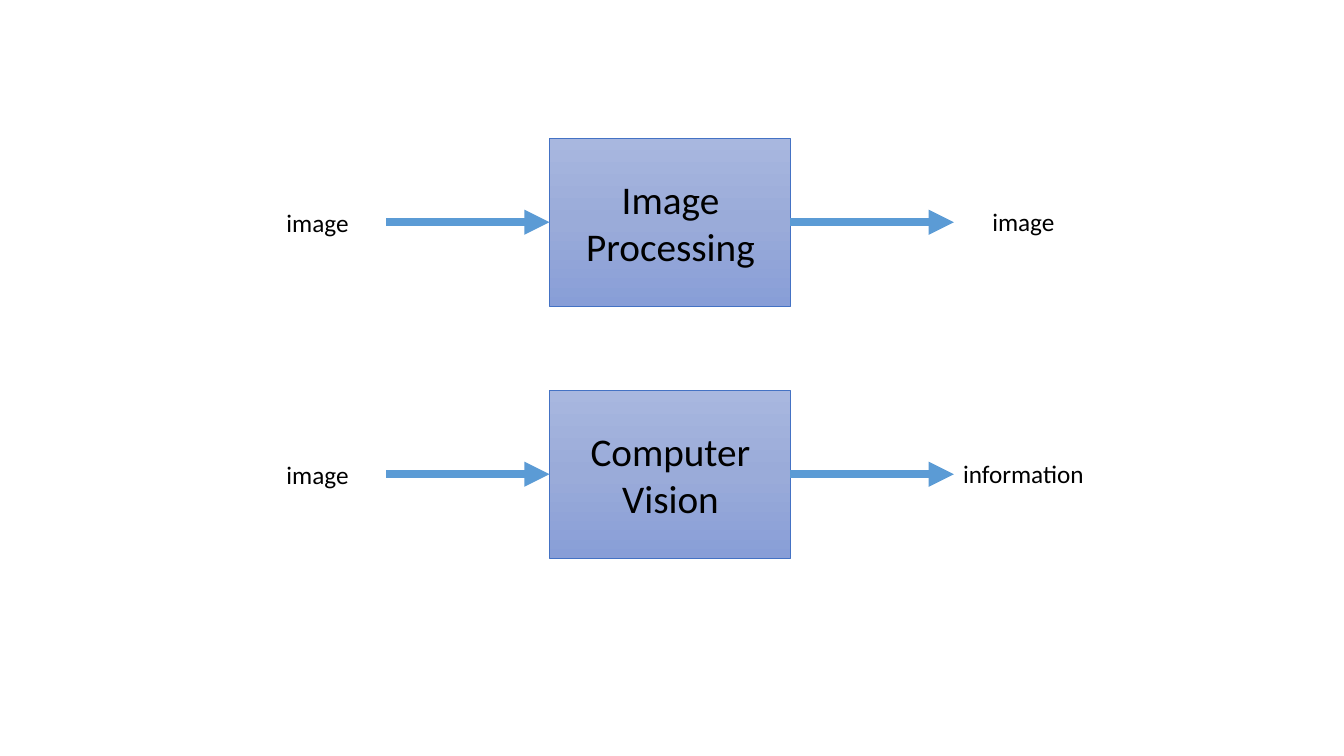
from copy import deepcopy

from lxml import etree
from pptx import Presentation
from pptx import util as u
from pptx.dml.color import RGBColor
from pptx.enum import shapes, text
from pptx.oxml.ns import qn

FONT = "Calibri"
COLORS = {
    "text": "000000",
    "edge": "4472C4",
    "arrow": "5B9BD5",
    "top": "A8B7DF",
    "middle": "9AABD9",
    "bottom": "889ED7",
}

# Layout in inches
BOX_LEFT, BOX_WIDTH, BOX_HEIGHT = 5.45, 2.39, 1.67
ARROW_LEN = 1.62
FIRST_TOP, ROW_STEP = 1.37, 2.5

# Input, lines in the box, output
ROWS = [
    ("image", ["Image", "Processing"], "image"),
    ("image", ["Computer", "Vision"], "information"),
]


def color(name):
    return RGBColor.from_string(COLORS[name])


def add_box(slide, top):
    box = slide.shapes.add_shape(
        shapes.MSO_SHAPE.RECTANGLE, u.Inches(BOX_LEFT), u.Inches(top),
        u.Inches(BOX_WIDTH), u.Inches(BOX_HEIGHT))
    box.shadow.inherit = False
    box.line.color.rgb = color("edge")
    box.line.width = u.Pt(0.5)

    # Three stops, running from top to bottom
    box.fill.gradient()
    box.fill.gradient_angle = 270
    first = box.fill.gradient_stops[0]
    first.color.rgb = color("top")
    stops = box._element.spPr.find(qn("a:gradFill")).find(qn("a:gsLst"))
    stops.insert(1, deepcopy(stops[0]))
    names = ["top", "middle", "bottom"]
    for stop, name, place in zip(box.fill.gradient_stops, names, [0, 0.5, 1]):
        stop.color.rgb = color(name)
        stop.position = place


def add_text(slide, lines, left, top, width, height, size):
    label = slide.shapes.add_textbox(
        u.Inches(left), u.Inches(top), u.Inches(width), u.Inches(height))
    frame = label.text_frame
    frame.word_wrap = True
    frame.auto_size = text.MSO_AUTO_SIZE.SHAPE_TO_FIT_TEXT
    for i, line in enumerate(lines):
        para = frame.add_paragraph() if i else frame.paragraphs[0]
        para.alignment = text.PP_ALIGN.CENTER
        run = para.add_run()
        run.text = line
        run.font.name = FONT
        run.font.size = u.Pt(size)
        run.font.color.rgb = color("text")


def add_arrow(slide, left, y):
    arrow = slide.shapes.add_connector(
        shapes.MSO_CONNECTOR.STRAIGHT, u.Inches(left), u.Inches(y),
        u.Inches(left + ARROW_LEN), u.Inches(y))
    arrow.line.color.rgb = color("arrow")
    arrow.line.width = u.Pt(6)
    line = arrow.line._get_or_add_ln()
    etree.SubElement(line, qn("a:tailEnd"), type="triangle")
    etree.SubElement(arrow._element.spPr, qn("a:effectLst"))


def add_row(slide, top, source, title, result):
    mid = top + BOX_HEIGHT / 2
    add_box(slide, top)
    add_text(slide, title, 5.67, top + 0.32, 1.96, 1.04, 28)
    add_arrow(slide, BOX_LEFT - ARROW_LEN, mid)
    add_arrow(slide, BOX_LEFT + BOX_WIDTH, mid)
    add_text(slide, [source], 2.23, top + 0.64, 1.84, 0.4, 18)
    add_text(slide, [result], 9.23, top + 0.63, 1.84, 0.4, 18)


def main():
    deck = Presentation()
    deck.slide_width = u.Inches(13.33)
    deck.slide_height = u.Inches(7.5)
    slide = deck.slides.add_slide(deck.slide_layouts[6])
    for i, row in enumerate(ROWS):
        add_row(slide, FIRST_TOP + i * ROW_STEP, *row)
    deck.save("out.pptx")


if __name__ == "__main__":
    main()
